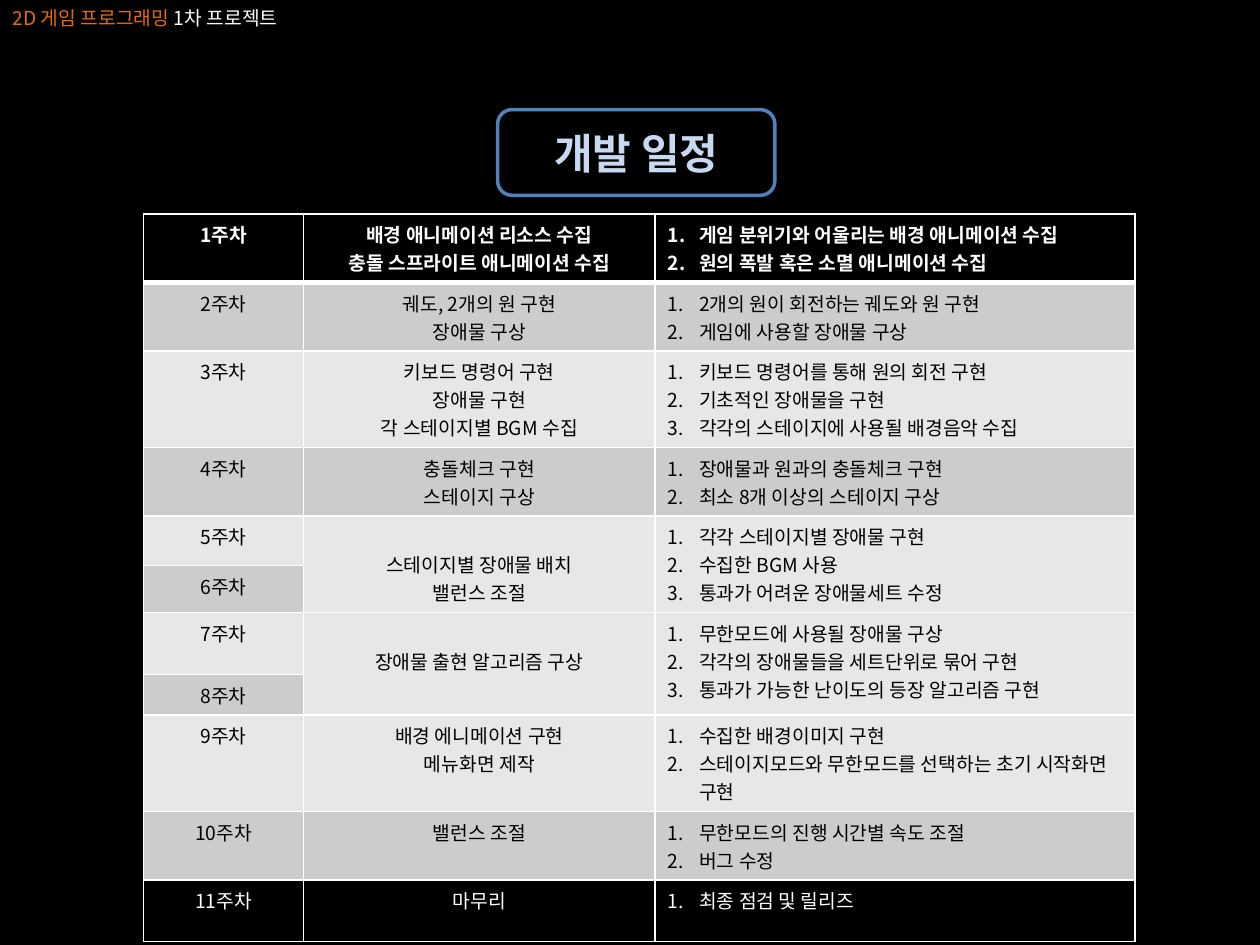
from dataclasses import dataclass

from lxml.etree import SubElement
from pptx import Presentation
from pptx.dml.color import RGBColor
from pptx.enum.shapes import MSO_SHAPE
from pptx.enum.text import MSO_ANCHOR, MSO_AUTO_SIZE, PP_ALIGN
from pptx.oxml.ns import qn
from pptx.util import Inches, Pt


@dataclass(frozen=True)
class Theme:
    font: str = "Noto Sans CJK KR"
    body_size: int = 11
    title_size: int = 24
    black: str = "000000"
    white: str = "FFFFFF"
    dark_band: str = "CCCCCC"
    light_band: str = "E7E7E7"
    orange: str = "E46C0A"
    frame: str = "4F81BD"
    title: str = "C6D9F1"


class SlideBuilder:
    def __init__(self, slide, theme):
        self.slide = slide
        self.theme = theme

    def background(self, color):
        fill = self.slide.background.fill
        fill.solid()
        fill.fore_color.rgb = RGBColor.from_string(color)

    def style(self, font, size, color, bold=False):
        font.size = Pt(size)
        font.bold = bold
        font.color.rgb = RGBColor.from_string(color)
        font.name = self.theme.font
        # Korean glyphs take the East Asian typeface
        SubElement(font._element, qn("a:ea"), typeface=self.theme.font)

    def heading(self, parts, left, top, width, height):
        box = self.slide.shapes.add_textbox(*map(Inches, (left, top, width, height)))
        frame = box.text_frame
        frame.word_wrap = False
        frame.auto_size = MSO_AUTO_SIZE.SHAPE_TO_FIT_TEXT
        for text, color in parts:
            run = frame.paragraphs[0].add_run()
            run.text = text
            self.style(run.font, self.theme.body_size, color)

    def framed_title(self, text, left, top, width, height):
        badge = self.slide.shapes.add_shape(
            MSO_SHAPE.ROUNDED_RECTANGLE, *map(Inches, (left, top, width, height)))
        badge.shadow.inherit = False
        badge.fill.background()
        badge.line.color.rgb = RGBColor.from_string(self.theme.frame)
        badge.line.width = Pt(2)
        badge.text_frame.vertical_anchor = MSO_ANCHOR.MIDDLE
        title = badge.text_frame.paragraphs[0]
        title.text = text
        title.alignment = PP_ALIGN.CENTER
        self.style(title.font, self.theme.title_size, self.theme.title, True)

    def borders(self, cell, top, bottom):
        properties = cell._tc.get_or_add_tcPr()
        for side, width in (("L", 1), ("R", 1), ("T", top), ("B", bottom)):
            line = SubElement(properties, qn(f"a:ln{side}"), w=str(Pt(width)))
            fill = SubElement(line, qn("a:solidFill"))
            SubElement(fill, qn("a:srgbClr"), val=self.theme.white)

    def cell_text(self, cell, lines, color, bold, numbered):
        cell.text_frame.text = "\n".join(lines)
        for paragraph in cell.text_frame.paragraphs:
            self.style(paragraph.font, self.theme.body_size, color, bold)
            if numbered:
                properties = paragraph._p.get_or_add_pPr()
                properties.set("marL", str(Inches(0.25)))
                properties.set("indent", str(Inches(-0.25)))
                bullet = properties.makeelement(
                    qn("a:buAutoNum"), {"type": "arabicPeriod"})
                properties.insert(0, bullet)
            else:
                paragraph.alignment = PP_ALIGN.CENTER

    def schedule(self, weeks, left, top, column_widths, row_heights):
        table = self.slide.shapes.add_table(
            len(weeks), len(column_widths), Inches(left), Inches(top),
            Inches(sum(column_widths)), Inches(sum(row_heights))).table
        for column, width in zip(table.columns, column_widths):
            column.width = Inches(width)
        for row, height in zip(table.rows, row_heights):
            row.height = Inches(height)

        last = len(weeks) - 1
        for r, (band, tasks, details) in enumerate(weeks):
            color = self.theme.white if band == self.theme.black else self.theme.black
            for c, lines in enumerate(([f"{r + 1}주차"], tasks, details)):
                cell = table.cell(r, c)
                self.borders(cell, 3 if r == 1 else 1, 3 if r == 0 else 1)
                cell.fill.solid()
                cell.fill.fore_color.rgb = RGBColor.from_string(band)
                if lines:
                    self.cell_text(cell, lines, color, r == 0, c == 2)

            # A week without tasks shares those of the week before
            if r < last and not weeks[r + 1][1]:
                for c in (1, 2):
                    table.cell(r, c).merge(table.cell(r + 1, c))
                table.cell(r, 1).margin_top = Inches(0.27)


def main():
    theme = Theme()
    dark, light, black = theme.dark_band, theme.light_band, theme.black
    # Band colour, tasks, details
    weeks = [
        (black, ["배경 애니메이션 리소스 수집", "충돌 스프라이트 애니메이션 수집"],
         ["게임 분위기와 어울리는 배경 애니메이션 수집",
          "원의 폭발 혹은 소멸 애니메이션 수집"]),
        (dark, ["궤도, 2개의 원 구현", "장애물 구상"],
         ["2개의 원이 회전하는 궤도와 원 구현", "게임에 사용할 장애물 구상"]),
        (light, ["키보드 명령어 구현", "장애물 구현", "각 스테이지별 BGM 수집"],
         ["키보드 명령어를 통해 원의 회전 구현", "기초적인 장애물을 구현",
          "각각의 스테이지에 사용될 배경음악 수집"]),
        (dark, ["충돌체크 구현", "스테이지 구상"],
         ["장애물과 원과의 충돌체크 구현", "최소 8개 이상의 스테이지 구상"]),
        (light, ["스테이지별 장애물 배치", "밸런스 조절"],
         ["각각 스테이지별 장애물 구현", "수집한 BGM 사용",
          "통과가 어려운 장애물세트 수정"]),
        (dark, [], []),
        (light, ["장애물 출현 알고리즘 구상"],
         ["무한모드에 사용될 장애물 구상", "각각의 장애물들을 세트단위로 묶어 구현",
          "통과가 가능한 난이도의 등장 알고리즘 구현"]),
        (dark, [], []),
        (light, ["배경 에니메이션 구현", "메뉴화면 제작"],
         ["수집한 배경이미지 구현",
          "스테이지모드와 무한모드를 선택하는 초기 시작화면 구현"]),
        (dark, ["밸런스 조절"], ["무한모드의 진행 시간별 속도 조절", "버그 수정"]),
        (black, ["마무리"], ["최종 점검 및 릴리즈"]),
    ]

    presentation = Presentation()
    presentation.slide_width = Inches(10)
    presentation.slide_height = Inches(7.5)
    slide = presentation.slides.add_slide(presentation.slide_layouts[6])
    builder = SlideBuilder(slide, theme)

    builder.background(black)
    builder.framed_title("개발 일정", 3.95, 0.87, 2.2, 0.68)

    # Weekly plan
    row_heights = [0.49] * len(weeks)
    row_heights[4] = 0.39
    row_heights[5] = row_heights[7] = 0.21
    builder.schedule(weeks, 1.14, 1.7, [1.27, 2.79, 3.81], row_heights)

    # Course heading
    builder.heading([("2D 게임 프로그래밍 ", theme.orange),
                     ("1차 프로젝트", theme.white)], 0, 0, 2.53, 0.29)

    presentation.save("out.pptx")


if __name__ == "__main__":
    main()
